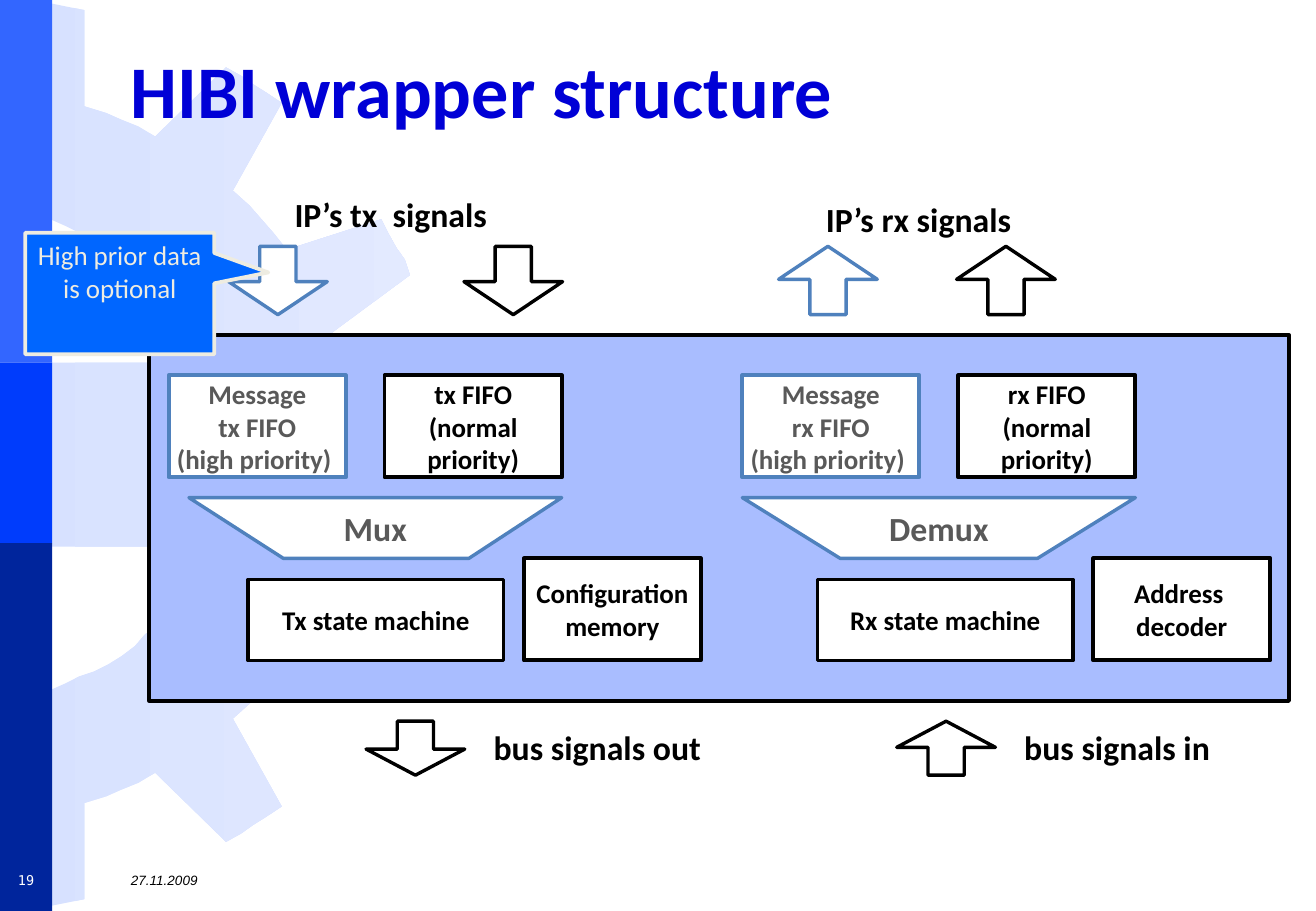
from dataclasses import dataclass

from lxml import etree
from pptx import Presentation
from pptx.dml.color import RGBColor
from pptx.enum import shapes, text
from pptx.oxml import ns
from pptx.util import Pt


@dataclass(frozen=True)
class Theme:
    black: str = "000000"
    white: str = "FFFFFF"
    grey: str = "595959"
    title: str = "0000D6"
    optional: str = "4F81BD"
    block: str = "A9BDFF"
    callout: str = "0066FF"
    cream: str = "EEECE1"
    gear: tuple = ("D7E1FF", "E3EAFF")
    bars: tuple = ("3366FF", "003CFC", "00259C")
    font: str = "Calibri"
    date_font: str = "Arial"
    number_font: str = "DejaVu Sans Mono"
    title_size: float = 44
    label_size: float = 20
    box_size: float = 16
    small_size: float = 8
    box_line: float = 2.25
    arrow_line: float = 2


THEME = Theme()
FORM, ALIGN, ANCHOR = shapes.MSO_SHAPE, text.PP_ALIGN, text.MSO_ANCHOR

# Upper half of the gear, from the outer tooth round to the hub
GEAR_HEIGHT = 539
GEAR_HALF = [
    (266, 269), (266, 258), (264, 250), (206, 240), (204, 230), (202, 220),
    (198, 210), (197, 197), (243, 163), (240, 154), (235, 147), (230, 138),
    (226, 130), (170, 148), (162, 138), (155, 130), (148, 122), (138, 113),
    (167, 61), (158, 55), (150, 50), (143, 45), (134, 40), (92, 81),
    (82, 75), (72, 71), (63, 67), (50, 63), (50, 6), (40, 4), (30, 2),
    (21, 1), (10, 0), (10, 127), (20, 130), (30, 130), (39, 134), (47, 138),
    (56, 141), (64, 145), (72, 150), (80, 156), (86, 163), (94, 168),
    (100, 174), (106, 182), (112, 190), (115, 199), (120, 206), (125, 215),
    (0, 215),
]


@dataclass(frozen=True)
class Channel:
    """Wording of one direction, and its offsets from the channel's left."""
    left: float
    direction: str
    funnel: str
    funnel_left: float
    machine: str
    machine_left: float
    helper: str
    ip_arrows: tuple
    ip_label: tuple
    bus_arrow: float
    bus_label: str
    bus_label_width: float
    turn: int


CHANNELS = [
    Channel(100, "tx", "Mux", 12.5, "Tx state machine", 47,
            "Configuration\nmemory", (35.5, 175),
            ("IP’s tx  signals", 67.5, -87, 130), 117, "bus signals out", 138, 0),
    Channel(440, "rx", "Demux", 0, "Rx state machine", 44.5,
            "Address \ndecoder", (21.5, 127),
            ("IP’s rx signals", 42.5, -84, 125), 91.5, "bus signals in", 125, 180),
]


# Shared helpers
def rgb(value):
    return RGBColor.from_string(value)


def paint(shape, fill, line=None, width=THEME.box_line):
    shape.shadow.inherit = False
    shape.fill.solid()
    shape.fill.fore_color.rgb = rgb(fill)
    if line:
        shape.line.color.rgb = rgb(line)
        shape.line.width = Pt(width)
    else:
        shape.line.fill.background()


def write(shape, words, size, color, font=THEME.font, bold=False, italic=False,
          align=ALIGN.CENTER, anchor=ANCHOR.MIDDLE, wrap=False):
    frame = shape.text_frame
    frame.text = words
    frame.word_wrap = wrap
    frame.vertical_anchor = anchor
    for paragraph in frame.paragraphs:
        paragraph.alignment = align
        paragraph.font.name = font
        paragraph.font.size = Pt(size)
        paragraph.font.bold = bold
        paragraph.font.italic = italic
        paragraph.font.color.rgb = rgb(color)


def add_preset(slide, form, box, fill, line=None, width=THEME.box_line):
    shape = slide.shapes.add_shape(form, *map(Pt, box))
    paint(shape, fill, line, width)
    return shape


def add_outline(slide, points):
    builder = slide.shapes.build_freeform(*points[0], scale=Pt(1))
    builder.add_line_segments(points[1:], close=True)
    return builder.convert_to_shape()


def add_text(slide, box, words, size, color, **style):
    shape = slide.shapes.add_textbox(*map(Pt, box))
    write(shape, words, size, color, **style)
    return shape


def add_label(slide, box, words):
    add_text(slide, box, words, THEME.label_size, THEME.black, bold=True,
             align=ALIGN.LEFT, anchor=ANCHOR.TOP)


def add_box(slide, box, words, line=THEME.black, color=THEME.black):
    shape = add_preset(slide, FORM.RECTANGLE, box, THEME.white, line)
    write(shape, words, THEME.box_size, color, bold=True)


def add_arrow(slide, box, turn, line=THEME.black):
    arrow = add_preset(slide, FORM.DOWN_ARROW, box, THEME.white, line,
                       THEME.arrow_line)
    arrow.adjustments[0], arrow.adjustments[1] = 0.367, 0.483
    arrow.rotation = turn


# Gear and side bars
def draw_background(slide, box):
    left, top, width, height = box
    lower = [(x, GEAR_HEIGHT - y) for x, y in reversed(GEAR_HALF)]
    gear = add_outline(slide, [(left + x, top + y) for x, y in GEAR_HALF + lower])
    gear.shadow.inherit = False
    gear.line.fill.background()
    gear.fill.gradient()
    gear.fill.gradient_angle = 0
    for stop, color in zip(gear.fill.gradient_stops, THEME.gear):
        stop.color.rgb = rgb(color)
    edges = [0, 215, 322, height]
    for start, end, color in zip(edges, edges[1:], THEME.bars):
        add_preset(slide, FORM.RECTANGLE, (left, top + start, 31, end - start), color)


# Title, date and slide number
def draw_frame_text(slide, box):
    left, top, width, height = box
    title = add_text(slide, (left + 70.5, top + 15, 676, 68), "HIBI wrapper structure",
                     THEME.title_size, THEME.title, bold=True, align=ALIGN.LEFT,
                     anchor=ANCHOR.BOTTOM, wrap=True)
    title.text_frame.paragraphs[0].line_spacing = 0.9
    footer = top + height - 28
    add_text(slide, (left + 70.5, footer, 676, 19), "27.11.2009", THEME.small_size,
             THEME.black, font=THEME.date_font, italic=True, align=ALIGN.LEFT, wrap=True)
    add_text(slide, (left, footer, 31, 19), "19", THEME.small_size, THEME.white,
             font=THEME.number_font)


# One direction of the wrapper: FIFOs, funnel, state machine and signals
def draw_channel(slide, left, top, channel):
    fifo_step, fifo_width, tall = 128, 105, 60.5
    fifos = [(f"Message\n{channel.direction} FIFO\n(high priority) ",
              THEME.optional, THEME.grey),
             (f"{channel.direction} FIFO\n(normal\npriority)", THEME.black, THEME.black)]
    for index, (words, line, color) in enumerate(fifos):
        add_box(slide, (left + index * fifo_step, top + 24, fifo_width, tall),
                words, line, color)
        add_arrow(slide, (left + channel.ip_arrows[index], top - 52.5, 58.5, 40.5),
                  channel.turn, line)

    start, end = left + channel.funnel_left, left + fifo_step + fifo_width
    inset, upper, lower = (end - start) / 4, top + 96.5, top + 132.5
    funnel = add_outline(slide, [(start, upper), (start + inset, lower),
                                 (end - inset, lower), (end, upper)])
    paint(funnel, THEME.white, THEME.optional, THEME.arrow_line)
    write(funnel, channel.funnel, THEME.label_size, THEME.grey, bold=True)

    machine = left + channel.machine_left
    add_box(slide, (machine, top + 145, 151.5, 48), channel.machine)
    add_box(slide, (machine + 163.5, top + 132.5, fifo_width, tall), channel.helper)

    words, across, down, width = channel.ip_label
    add_label(slide, (left + across, top + down, width, 32), words)
    bus = left + channel.bus_arrow
    add_arrow(slide, (bus, top + 229, 58.5, 32), channel.turn)
    add_label(slide, (bus + 68.5, top + 229, channel.bus_label_width, 32),
              channel.bus_label)


# Wrapper block with both directions and the callout
def draw_wrapper(slide, box):
    left, top, width, height = box
    add_preset(slide, FORM.RECTANGLE, box, THEME.block, THEME.black)
    for channel in CHANNELS:
        draw_channel(slide, left - 88.5 + channel.left, top, channel)
    callout = add_preset(slide, FORM.RECTANGULAR_CALLOUT,
                         (left - 73.5, top - 60.5, 112, 72), THEME.callout, THEME.cream)
    callout.adjustments[0], callout.adjustments[1] = 0.786, -0.173
    write(callout, "High prior data is optional", THEME.box_size, THEME.cream,
          anchor=ANCHOR.TOP, wrap=True)


def main():
    presentation = Presentation()
    presentation.slide_width, presentation.slide_height = Pt(780), Pt(540)
    slide = presentation.slides.add_slide(presentation.slide_layouts[6])
    page = (0, 0, 780, 540)
    draw_background(slide, page)
    draw_frame_text(slide, page)
    draw_wrapper(slide, (88.5, 198.5, 675.5, 217))
    presentation.save("out.pptx")


if __name__ == "__main__":
    main()
